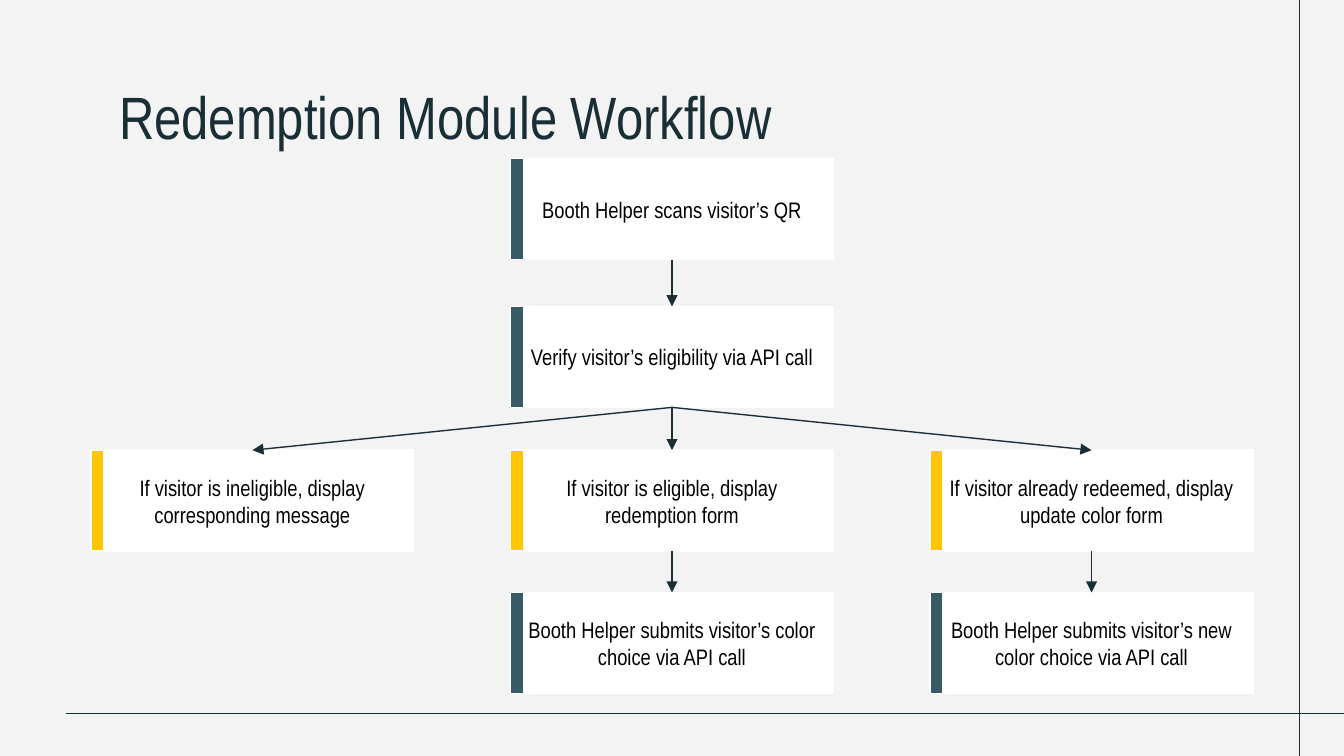
"""Build the redemption workflow slide."""
from dataclasses import dataclass

from lxml import etree
from pptx import Presentation
from pptx.dml.color import RGBColor
from pptx.enum.shapes import MSO_CONNECTOR, MSO_SHAPE
from pptx.enum.text import MSO_ANCHOR, PP_ALIGN
from pptx.oxml.ns import qn
from pptx.util import Cm, Pt

RECT = MSO_SHAPE.RECTANGLE
STRAIGHT = MSO_CONNECTOR.STRAIGHT
TOP, MIDDLE = MSO_ANCHOR.TOP, MSO_ANCHOR.MIDDLE
LEFT, CENTER = PP_ALIGN.LEFT, PP_ALIGN.CENTER
TOP_SITE, BOTTOM_SITE = 0, 2

SLIDE_W, SLIDE_H = 25.4, 14.29
BOX_W, BOX_H, BAR_W = 6.1, 1.91, 0.24
COLS = [1.72 + 7.93 * i for i in range(3)]
ROWS = [3, 5.79, 8.51, 11.2]
RULE_X, RULE_Y = 24.56, 13.49


@dataclass(frozen=True)
class Theme:
    font: str = "Arial Narrow"
    title_size: int = 32
    body_size: int = 12
    line_width: float = 0.75
    inset: float = 0.25
    background: str = "F3F3F3"
    ink: str = "1A2E35"
    text: str = "000000"
    box: str = "FFFFFF"
    action: str = "375A64"
    outcome: str = "FEC600"


class Deck:
    def __init__(self, s, theme):
        self.s = s
        self.theme = theme
        self.fill(s.background.fill, theme.background)

    def fill(self, fill, color):
        fill.solid()
        fill.fore_color.rgb = RGBColor.from_string(color)

    def outline(self, line, color):
        line.color.rgb = RGBColor.from_string(color)
        line.width = Pt(self.theme.line_width)

    def label(self, tf, text, size, color, align, anchor):
        sides = ("left", "top", "right", "bottom")
        frame = {f"margin_{side}": Cm(self.theme.inset) for side in sides}
        frame.update(word_wrap=True, vertical_anchor=anchor)
        for name, value in frame.items():
            setattr(tf, name, value)
        p = tf.paragraphs[0]
        p.alignment = align
        r = p.add_run()
        r.text = text
        for name, value in {"name": self.theme.font, "size": Pt(size)}.items():
            setattr(r.font, name, value)
        r.font.color.rgb = RGBColor.from_string(color)

    def title(self, text, x, y, w, h):
        sp = self.s.shapes.add_textbox(Cm(x), Cm(y), Cm(w), Cm(h))
        t = self.theme
        self.label(sp.text_frame, text, t.title_size, t.ink, LEFT, TOP)

    def rect(self, x, y, w, h, color):
        sp = self.s.shapes.add_shape(RECT, Cm(x), Cm(y), Cm(w), Cm(h))
        sp.shadow.inherit = False
        self.fill(sp.fill, color)
        self.outline(sp.line, self.theme.box)
        return sp

    def step(self, text, x, y, accent):
        t = self.theme
        sp = self.rect(x, y, BOX_W, BOX_H, t.box)
        self.label(sp.text_frame, text, t.body_size, t.text, CENTER, MIDDLE)
        self.rect(x, y, BAR_W, BOX_H, accent)
        return sp

    def line(self, x1, y1, x2, y2):
        cxn = self.s.shapes.add_connector(STRAIGHT, Cm(x1), Cm(y1), Cm(x2), Cm(y2))
        self.outline(cxn.line, self.theme.ink)
        etree.SubElement(cxn._element.spPr, qn("a:effectLst"))
        return cxn

    def arrow(self, source, target):
        cxn = self.line(0, 0, 0, 0)
        cxn.begin_connect(source, BOTTOM_SITE)
        cxn.end_connect(target, TOP_SITE)
        ln = cxn._element.spPr.find(qn("a:ln"))
        etree.SubElement(ln, qn("a:tailEnd"), type="triangle")


def main():
    prs = Presentation()
    prs.slide_width, prs.slide_height = Cm(SLIDE_W), Cm(SLIDE_H)
    theme = Theme()
    deck = Deck(prs.slides.add_slide(prs.slide_layouts[6]), theme)

    rules = [
        (1.24, RULE_Y, SLIDE_W, RULE_Y),
        (RULE_X, 0.79, RULE_X, SLIDE_H),
        (RULE_X, RULE_Y, RULE_X, 0),
    ]
    for rule in rules:
        deck.line(*rule)
    deck.title("Redemption Module Workflow", 2, 1.25, 21.42, 1.6)

    steps = {
        "scan": ("Booth Helper scans visitor’s QR", 1, 0, theme.action),
        "verify": ("Verify visitor’s eligibility via API call", 1, 1, theme.action),
        "ineligible": ("If visitor is ineligible, display corresponding message",
                       0, 2, theme.outcome),
        "eligible": ("If visitor is eligible, display redemption form",
                     1, 2, theme.outcome),
        "submit": ("Booth Helper submits visitor’s color choice via API call",
                   1, 3, theme.action),
        "redeemed": ("If visitor already redeemed, display update color form",
                     2, 2, theme.outcome),
        "resubmit": ("Booth Helper submits visitor’s new color choice via API call",
                     2, 3, theme.action),
    }
    boxes = {
        name: deck.step(text, COLS[col], ROWS[row], accent)
        for name, (text, col, row, accent) in steps.items()
    }

    flow = [
        ("scan", "verify"),
        ("verify", "eligible"),
        ("eligible", "submit"),
        ("verify", "ineligible"),
        ("verify", "redeemed"),
        ("redeemed", "resubmit"),
    ]
    for source, target in flow:
        deck.arrow(boxes[source], boxes[target])

    prs.save("out.pptx")


if __name__ == "__main__":
    main()
